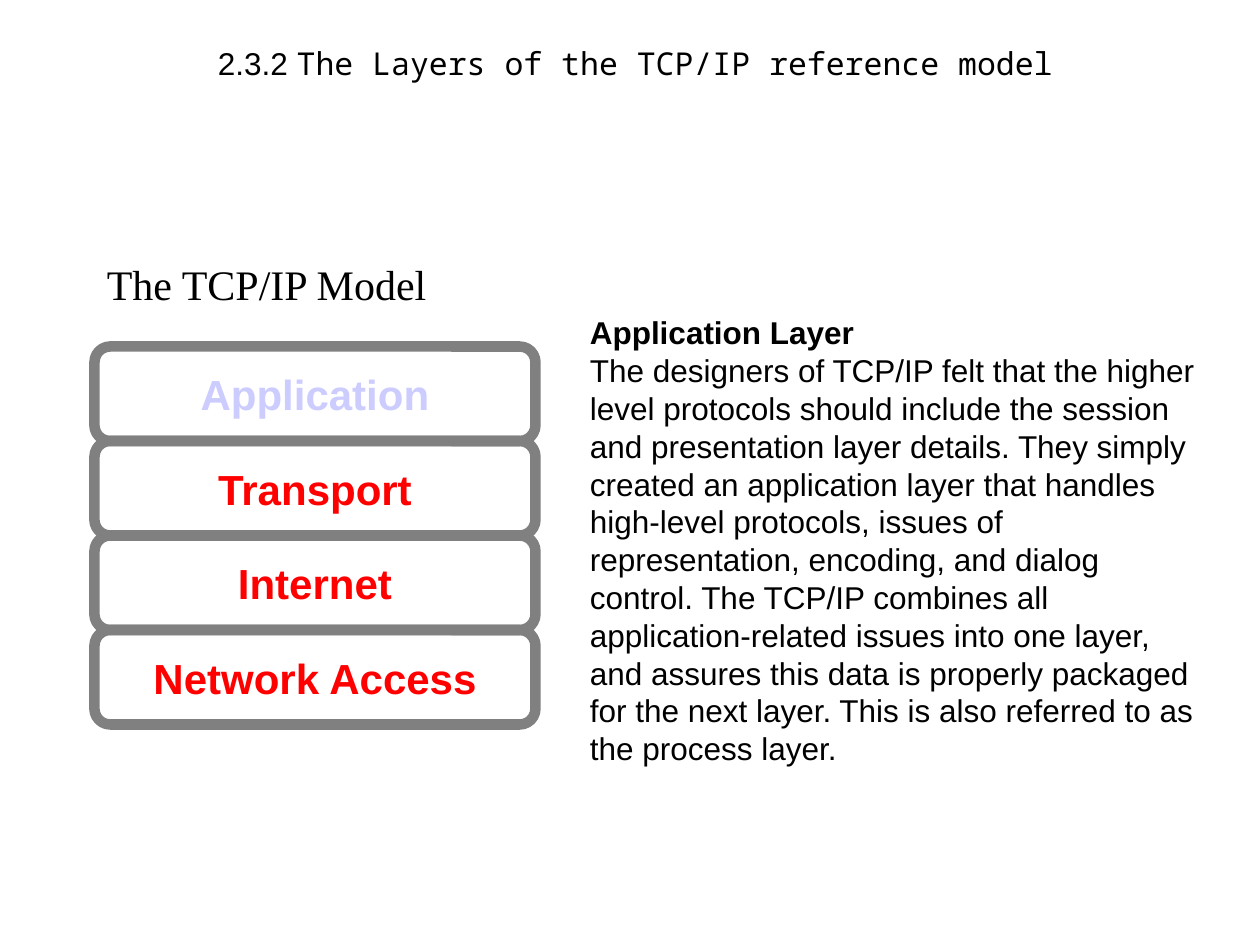
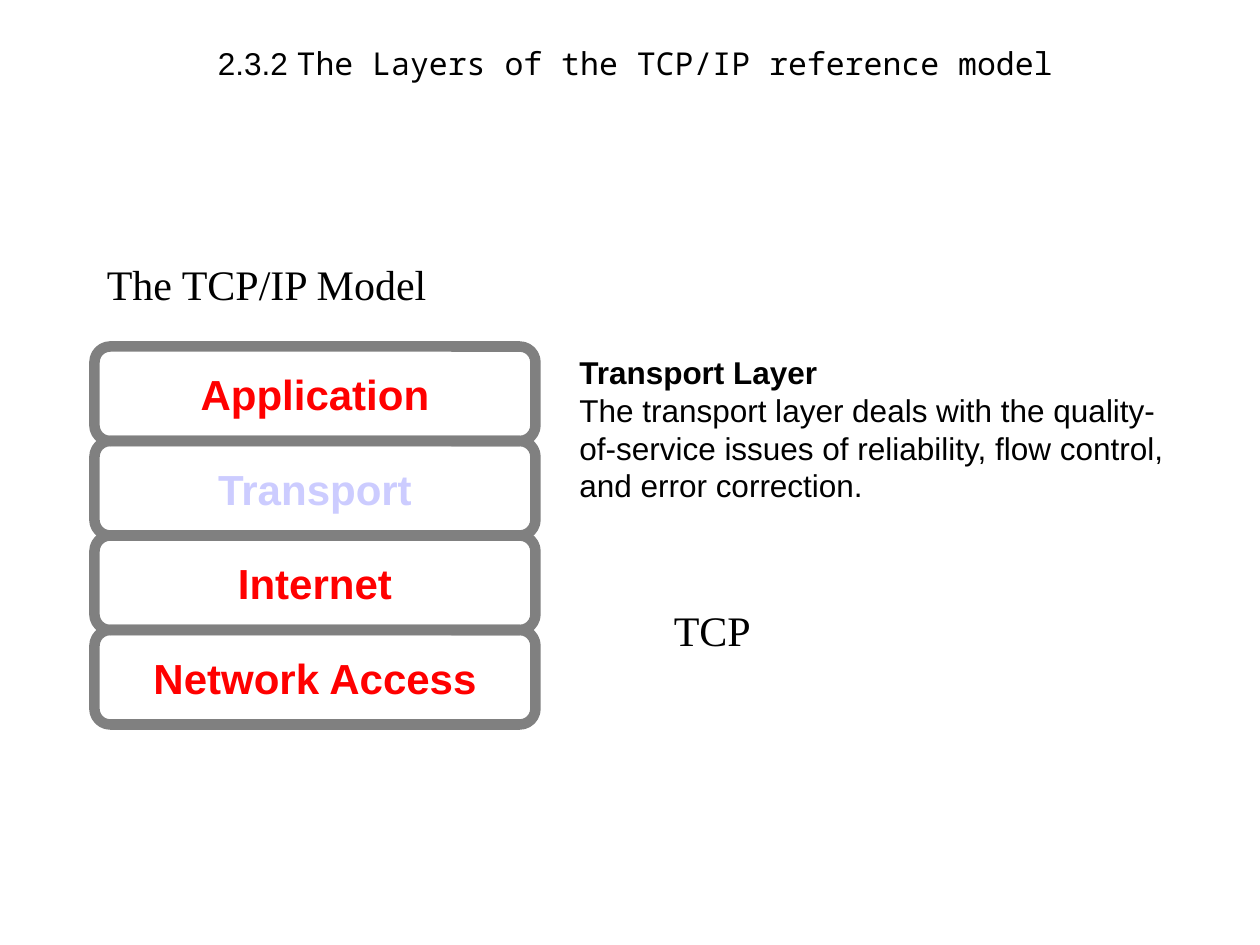
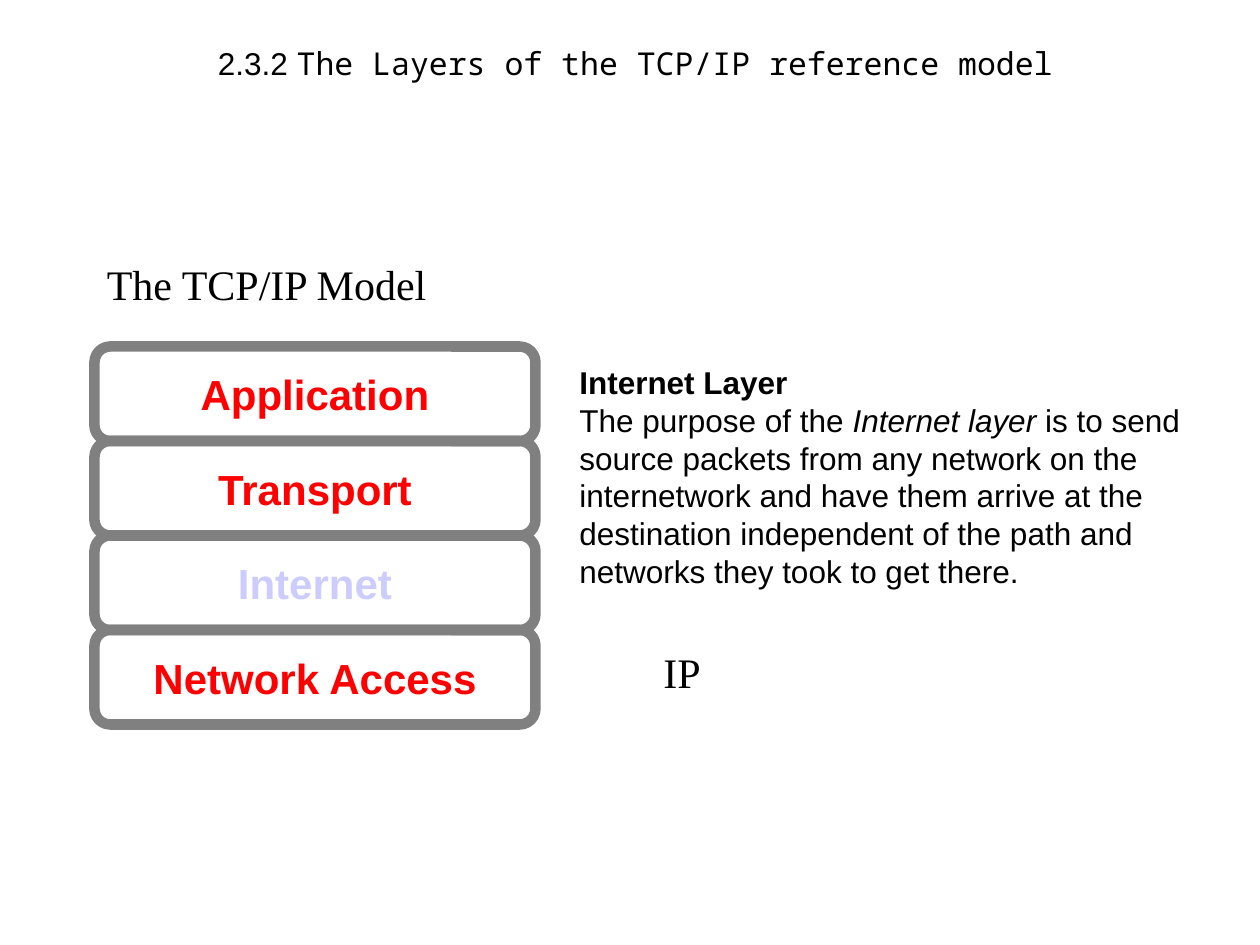
from pptx import Presentation
from pptx import util as u
from pptx.dml.color import RGBColor
from pptx.enum import shapes, text

PX = 9525  # EMU per px, 96 px to the inch

TITLE = [("2.3.2 ", "Arial"),
         ("The Layers of the TCP/IP reference model", "Noto Sans Mono")]
LAYERS = ["Application", "Transport", "Internet", "Network Access"]


def px(*lengths):
    return [u.Emu(n * PX) for n in lengths]


def rgb(value):
    return RGBColor.from_string(value)


class Deck:
    INK, ACTIVE, LAYER, BORDER = "000000", "CCCCFF", "FF0000", "808080"
    SANS, SERIF = "Arial", "Times New Roman"
    SMALL, LARGE = 18, 24

    def __init__(self):
        self.prs = Presentation()
        self.prs.slide_width, self.prs.slide_height = px(960, 720)
        self.s = None

    def font(self, p, name, size, color, bold=False):
        f = p.font
        f.name, f.size, f.bold = name, u.Pt(size), bold
        f.color.rgb = rgb(color)

    def slide(self):
        """Add a slide with the shared title."""
        self.s = self.prs.slides.add_slide(self.prs.slide_layouts[5])
        sp = self.s.shapes.title
        sp.left, sp.top, sp.width, sp.height = px(40, 16, 888, 64)
        tf = sp.text_frame
        tf.vertical_anchor = text.MSO_ANCHOR.MIDDLE
        p = tf.paragraphs[0]
        p.alignment = text.PP_ALIGN.CENTER
        self.font(p, self.SANS, self.SMALL, self.INK)
        for words, name in TITLE:
            r = p.add_run()
            r.text, r.font.name = words, name

    def box(self, at, anchor, wrap):
        tf = self.s.shapes.add_textbox(*px(*at)).text_frame
        tf.word_wrap, tf.vertical_anchor = wrap, anchor
        return tf

    def label(self, words, at, anchor=text.MSO_ANCHOR.MIDDLE):
        """Add a large one-line serif label."""
        p = self.box(at, anchor, False).paragraphs[0]
        p.text = words
        self.font(p, self.SERIF, self.LARGE, self.INK)

    def layer(self, name, at, color):
        """Add one outlined layer of the model."""
        sp = self.s.shapes.add_shape(shapes.MSO_SHAPE.ROUNDED_RECTANGLE, *px(*at))
        sp.shadow.inherit = False
        sp.fill.background()
        sp.line.color.rgb = rgb(self.BORDER)
        sp.line.width = u.Pt(6)
        tf = sp.text_frame
        tf.word_wrap, tf.vertical_anchor = False, text.MSO_ANCHOR.MIDDLE
        p = tf.paragraphs[0]
        p.text, p.alignment = name, text.PP_ALIGN.CENTER
        self.font(p, self.SANS, self.LARGE, color, bold=True)

    def model(self, active):
        """Stack the layers, with the active one in a pale colour."""
        self.label("The TCP/IP Model", (72, 192, 363, 40), text.MSO_ANCHOR.TOP)
        for i, name in enumerate(LAYERS):
            color = self.ACTIVE if name == active else self.LAYER
            self.layer(name, (72, 264 + 72 * i, 336, 72), color)

    def explanation(self, heading, parts, at):
        """Add a bold heading over text; every second part is italic."""
        tf = self.box(at, text.MSO_ANCHOR.MIDDLE, True)
        tf.auto_size = text.MSO_AUTO_SIZE.SHAPE_TO_FIT_TEXT
        p = tf.paragraphs[0]
        self.font(p, self.SANS, self.SMALL, self.INK)
        r = p.add_run()
        r.text, r.font.bold = heading + " ", True
        p.add_line_break()
        for i, words in enumerate(parts):
            r = p.add_run()
            r.text = words
            if i % 2:
                r.font.italic = True


def main():
    deck = Deck()

    # Application layer
    deck.slide()
    deck.model("Application")
    deck.explanation("Application Layer", [
        "The designers of TCP/IP felt that the higher level protocols should "
        "include the session and presentation layer details. They simply created "
        "an application layer that handles high-level protocols, issues of "
        "representation, encoding, and dialog control. The TCP/IP combines all "
        "application-related issues into one layer, and assures this data is "
        "properly packaged for the next layer. This is also referred to as the "
        "process layer."], (440, 234, 480, 355))

    # Transport layer
    deck.slide()
    deck.model("Transport")
    deck.explanation("Transport Layer", [
        "The transport layer deals with the quality-of-service issues of "
        "reliability, flow control, and error correction."], (432, 264, 480, 125))
    deck.label("TCP", (504, 448, 200, 64))

    # Internet layer
    deck.slide()
    deck.model("Internet")
    deck.explanation("Internet Layer", [
        "The purpose of the ", "Internet layer",
        " is to send source packets from any network on the internetwork and "
        "have them arrive at the destination independent of the path and "
        "networks they took to get there."], (432, 272, 480, 182))
    deck.label("IP", (496, 480, 200, 64))

    deck.prs.save("out.pptx")


if __name__ == "__main__":
    main()
